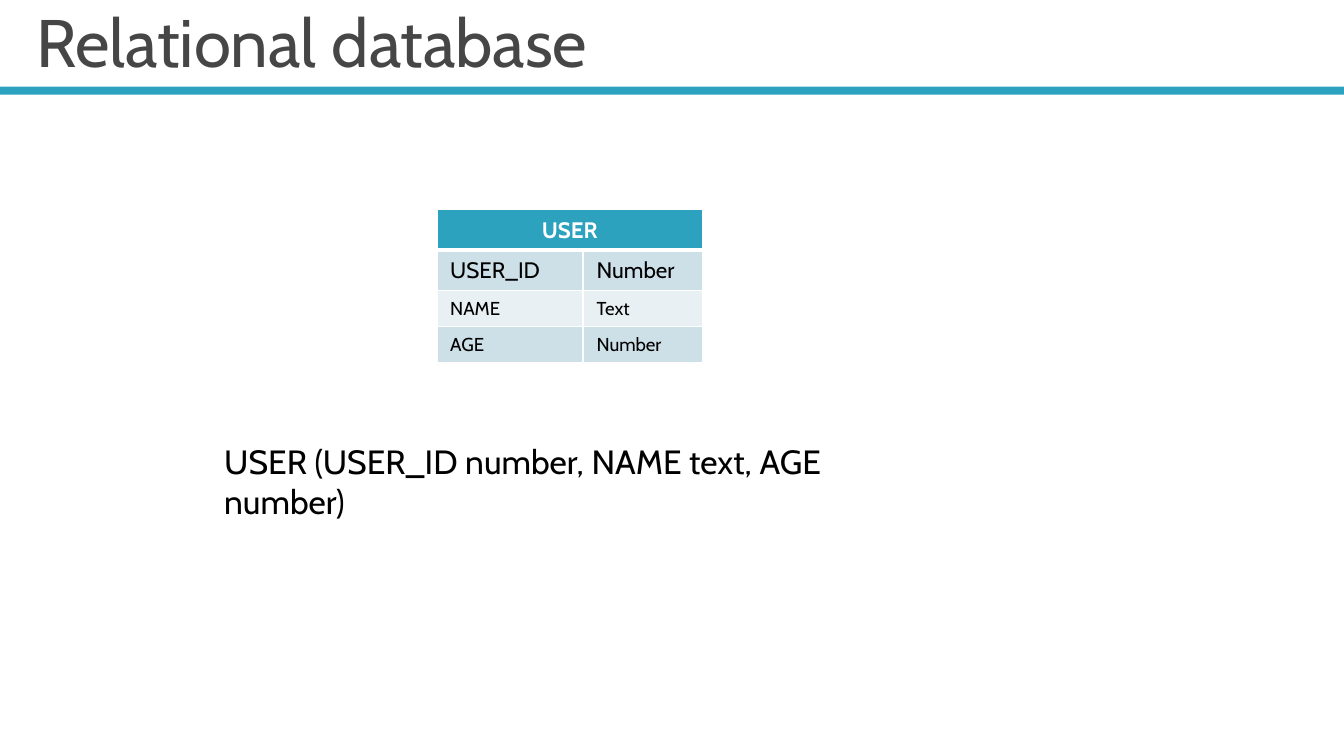
"""Builds a slide showing one relational table and its schema notation."""
from typing import NamedTuple

from lxml.etree import SubElement
from pptx import Presentation
from pptx.dml.color import RGBColor
from pptx.enum.shapes import MSO_SHAPE as Shape
from pptx.enum.text import MSO_ANCHOR as Anchor, PP_ALIGN as Align
from pptx.oxml.ns import qn
from pptx.util import Inches, Pt

FONT = "Cabin"
TEAL = RGBColor(0x2D, 0xA2, 0xBF)
GRAY = RGBColor(0x46, 0x46, 0x46)
BLACK = RGBColor(0, 0, 0)
WHITE = RGBColor(0xFF, 0xFF, 0xFF)
BANDS = (RGBColor(0xCD, 0xE0, 0xE8), RGBColor(0xE8, 0xF0, 0xF4))


class Style(NamedTuple):
    size: int
    color: RGBColor
    bold: bool = False


class Label(NamedTuple):
    text: str
    left: float
    top: float
    width: float
    height: float
    style: Style
    anchor: Anchor = Anchor.TOP


class Field(NamedTuple):
    name: str
    kind: str
    size: int
    height: float


LABELS = (
    Label("Relational database", 0.17, 0.13, 9.58, 0.52, Style(36, GRAY), Anchor.BOTTOM),
    Label("USER (USER_ID number, NAME text, AGE number)", 1.57, 3.23, 5.22, 0.4, Style(18, BLACK)),
)
FIELDS = (
    Field("USER_ID", "Number", 12, 0.3),
    Field("NAME", "Text", 10, 0.27),
    Field("AGE", "Number", 10, 0.27),
)
COLUMN_WIDTHS = (1.09, 0.89)
HEADER_HEIGHT = 0.3


def write(frame, text: str, style: Style) -> None:
    span = frame.paragraphs[0].add_run()
    span.text = text
    span.font.name = FONT
    span.font.size = Pt(style.size)
    span.font.bold = style.bold
    span.font.color.rgb = style.color


def add_label(page, label: Label) -> None:
    box = page.shapes.add_textbox(
        Inches(label.left), Inches(label.top), Inches(label.width), Inches(label.height))
    frame = box.text_frame
    frame.word_wrap = True
    frame.vertical_anchor = label.anchor
    write(frame, label.text, label.style)


def add_rule(page) -> None:
    rule = page.shapes.add_shape(
        Shape.RECTANGLE, Inches(0), Inches(0.645), Inches(10), Inches(0.06))
    rule.shadow.inherit = False
    rule.fill.solid()
    rule.fill.fore_color.rgb = TEAL
    rule.line.fill.background()


def set_borders(cell, bottom: int, top: int) -> None:
    properties = cell._tc.get_or_add_tcPr()
    widths = {"a:lnL": 1, "a:lnR": 1, "a:lnT": top, "a:lnB": bottom}
    for position, (tag, width) in enumerate(widths.items()):
        border = SubElement(properties, qn(tag), w=str(Pt(width)))
        fill = SubElement(border, qn("a:solidFill"))
        SubElement(fill, qn("a:srgbClr"), val=str(WHITE))
        properties.insert(position, border)


def fill_cell(cell, text: str, style: Style, fill: RGBColor,
              bottom: int = 1, top: int = 1) -> None:
    cell.fill.solid()
    cell.fill.fore_color.rgb = fill
    set_borders(cell, bottom, top)
    if text:
        write(cell.text_frame, text, style)


def add_user_table(page) -> None:
    heights = (HEADER_HEIGHT, *(field.height for field in FIELDS))
    table = page.shapes.add_table(
        len(heights), len(COLUMN_WIDTHS), Inches(3.25), Inches(1.56),
        Inches(sum(COLUMN_WIDTHS)), Inches(sum(heights))).table
    for column, width in zip(table.columns, COLUMN_WIDTHS):
        column.width = Inches(width)
    for row, height in zip(table.rows, heights):
        row.height = Inches(height)

    header = table.cell(0, 0)
    header.merge(table.cell(0, 1))
    for cell, text in zip(table.rows[0].cells, ("USER", "")):
        fill_cell(cell, text, Style(12, WHITE, True), TEAL, bottom=3)
    header.text_frame.paragraphs[0].alignment = Align.CENTER

    for index, field in enumerate(FIELDS):
        for column, text in enumerate((field.name, field.kind)):
            fill_cell(table.cell(index + 1, column), text, Style(field.size, BLACK),
                      BANDS[index % 2], top=3 if index == 0 else 1)


def main() -> None:
    deck = Presentation()
    deck.slide_width = Inches(10)
    deck.slide_height = deck.slide_width * 9 // 16
    page = deck.slides.add_slide(deck.slide_layouts[6])
    add_rule(page)
    for label in LABELS:
        add_label(page, label)
    add_user_table(page)
    deck.save("out.pptx")


if __name__ == "__main__":
    main()
